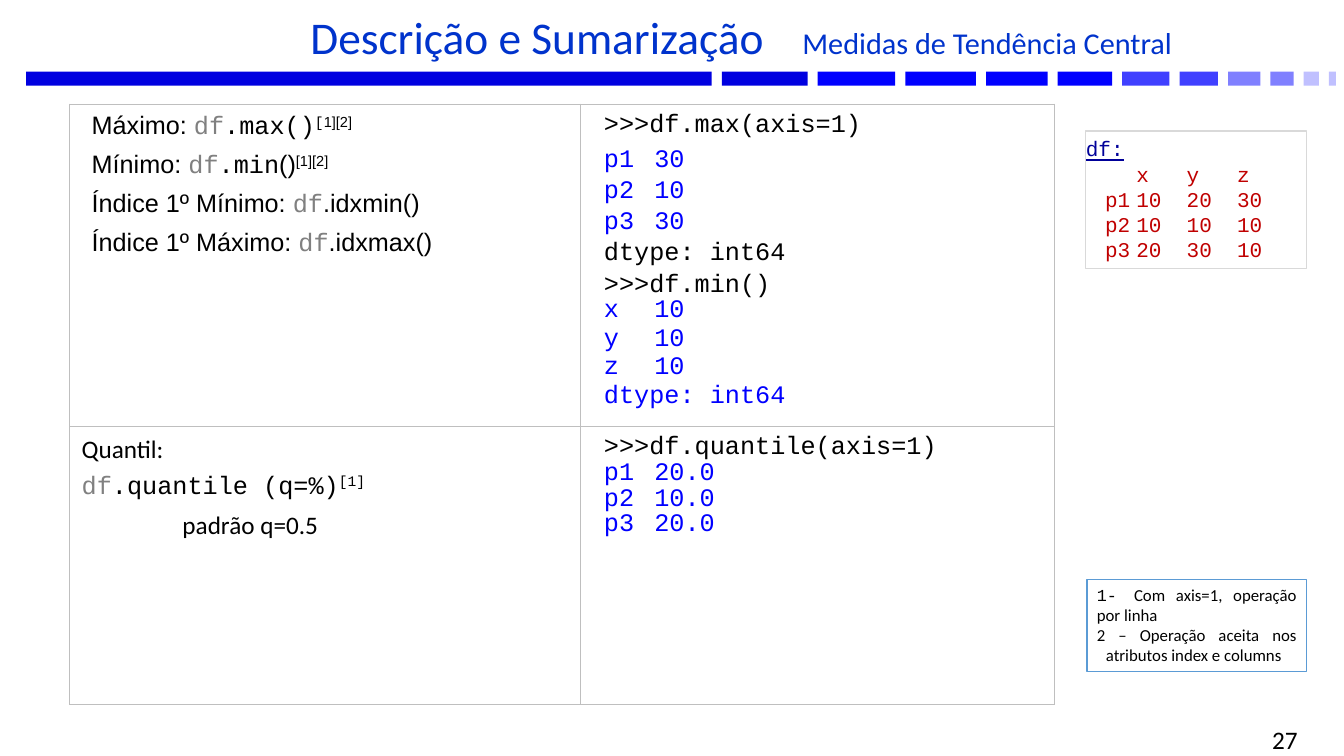
from dataclasses import dataclass, field

from lxml.etree import SubElement
from pptx import Presentation
from pptx.dml.color import RGBColor
from pptx.enum.shapes import MSO_SHAPE
from pptx.enum.text import MSO_ANCHOR, PP_ALIGN
from pptx.oxml.ns import qn
from pptx.util import Inches, Pt

# Grid of 133.3 columns by 75 rows, each cell a tenth of an inch
COLUMNS, ROWS, CELL = 133.3, 75, Inches(0.1)
BLACK, GRAY, BLUE, RED, WHITE = "000000", "808080", "0000FF", "C00000", "FFFFFF"
MONO, SANS, BODY = "Courier New", "Arial", "Calibri"


@dataclass
class Span:
    text: str
    font: str = MONO
    color: str = BLACK
    size: float = 18
    raised: bool = False
    underline: bool = False


@dataclass
class Para:
    spans: list[Span]
    format: dict = field(default_factory=dict)
    margin: float = 0
    first: float = 0
    tabs: tuple = ()


@dataclass
class Area:
    left: float
    top: float
    width: float
    height: float

    def lengths(self) -> list[int]:
        return [grid(n) for n in (self.left, self.top, self.width, self.height)]


@dataclass
class Bar:
    width: float
    color: str


def grid(cells: float) -> int:
    return round(cells * CELL)


def rgb(color: str) -> RGBColor:
    return RGBColor.from_string(color)


def apply(target, values: dict) -> None:
    for name, value in values.items():
        setattr(target, name, value)


def margins(left: float, top: float, right: float, bottom: float) -> dict:
    return {"margin_left": grid(left), "margin_top": grid(top),
            "margin_right": grid(right), "margin_bottom": grid(bottom)}


def write(frame, paras: list[Para]) -> None:
    for index, item in enumerate(paras):
        para = frame.paragraphs[0] if index == 0 else frame.add_paragraph()
        apply(para, {"alignment": PP_ALIGN.LEFT} | item.format)
        properties = para._p.get_or_add_pPr()
        properties.set("marL", str(grid(item.margin)))
        properties.set("indent", str(grid(item.first)))
        if item.tabs:
            stops = SubElement(properties, qn("a:tabLst"))
            for stop in item.tabs:
                SubElement(stops, qn("a:tab"), pos=str(grid(stop)), algn="l")
        for item_span in item.spans:
            span = para.add_run()
            span.text = item_span.text
            apply(span.font, {"name": item_span.font, "size": Pt(item_span.size),
                              "underline": item_span.underline})
            span.font.color.rgb = rgb(item_span.color)
            if item_span.raised:
                span._r.get_or_add_rPr().set("baseline", "30000")


def add_text(page, area: Area, paras: list[Para], anchor=MSO_ANCHOR.MIDDLE) -> None:
    box = page.shapes.add_textbox(*area.lengths())
    apply(box.text_frame, {"word_wrap": True, "vertical_anchor": anchor})
    write(box.text_frame, paras)


def add_rectangle(page, area: Area, fill: str = "", line: str = "", weight: float = 1):
    box = page.shapes.add_shape(MSO_SHAPE.RECTANGLE, *area.lengths())
    box.shadow.inherit = False
    if fill:
        box.fill.solid()
        box.fill.fore_color.rgb = rgb(fill)
    else:
        box.fill.background()
    if line:
        box.line.color.rgb = rgb(line)
        box.line.width = Pt(weight)
    else:
        box.line.fill.background()
    return box


def add_panel(page, area: Area, paras: list[Para], insets: dict, **outline) -> None:
    """Outlined rectangle with text from its top edge."""
    frame = add_rectangle(page, area, **outline).text_frame
    apply(frame, insets | {"word_wrap": True, "vertical_anchor": MSO_ANCHOR.TOP})
    write(frame, paras)


def add_border(cell, color: str, weight: float) -> None:
    properties = cell._tc.get_or_add_tcPr()
    for index, side in enumerate(("lnL", "lnR", "lnT", "lnB")):
        line = properties.makeelement(qn(f"a:{side}"), {"w": str(Pt(weight))})
        fill = SubElement(line, qn("a:solidFill"))
        SubElement(fill, qn("a:srgbClr"), val=color)
        properties.insert(index, line)


def add_grid_table(page, area: Area, widths: list, heights: list, cells: list) -> None:
    table = page.shapes.add_table(len(heights), len(widths), *area.lengths()).table
    apply(table, {"first_row": False, "horz_banding": False})
    for column, width in zip(table.columns, widths):
        column.width = grid(width)
    for row, height in zip(table.rows, heights):
        row.height = grid(height)
    for row_index, row in enumerate(cells):
        for column_index, paras in enumerate(row):
            cell = table.cell(row_index, column_index)
            apply(cell, margins((1.2, 2.4)[column_index], 0.8, 0, 0))
            cell.fill.background()
            add_border(cell, "BFBFBF", 0.25)
            write(cell.text_frame, paras)


SPACED = {"space_before": Pt(6)}
TIGHT = SPACED | {"line_spacing": 0.8}
CLOSE = {"line_spacing": 0.9}


def method(label: str, *spans: Span) -> Para:
    return Para([Span(label, SANS), Span("df", color=GRAY), *spans], SPACED, first=1)


def code(text: str, format: dict, color: str = BLACK, stop: float = 9) -> Para:
    return Para([Span(text, color=color)], format, tabs=(stop,))


METHODS = [
    method("Máximo: ", Span(".max()"), Span("[", raised=True), Span("1][2]", SANS, raised=True)),
    method("Mínimo: ", Span(".min"), Span("()", SANS), Span("[1][2]", SANS, raised=True)),
    method("Índice 1º Mínimo: ", Span(".idxmin()", SANS)),
    method("Índice 1º Máximo: ", Span(".idxmax()", SANS)),
]
EXTREMES = [
    code(">>>df.max(axis=1)", SPACED),
    *(code(f"p{n}\t{value}", TIGHT, BLUE) for n, value in enumerate((30, 10, 30), 1)),
    code("dtype: int64", TIGHT),
    code(">>>df.min()", TIGHT),
    *(code(f"{axis}\t10", {}, BLUE, 7.5) for axis in "xyz"),
    code("dtype: int64", {}, BLUE),
]
QUANTILE = [
    Para([Span("Quantil:", BODY)], SPACED),
    Para([Span("df", color=GRAY), Span(".quantile (q=%)"), Span("[1]", raised=True)], SPACED),
    Para([Span("padrão q=0.5", BODY)], SPACED, margin=10),
]
QUANTILE_OUTPUT = [
    code(">>>df.quantile(axis=1)", CLOSE | {"space_before": Pt(3)}),
    *(code(f"p{n}\t{value}", CLOSE, BLUE) for n, value in enumerate(("20.0", "10.0", "20.0"), 1)),
]
FRAME_ROWS = ("p1\t10\t20\t30", "p2\t10\t10\t10", "p3\t20\t30\t10")
FRAME = [
    Para([Span("df:", color="000099", size=15, underline=True)]),
    Para([Span("\tx\ty\tz", color=RED, size=15)], tabs=(7.9, 12.95, 18)),
    *(Para([Span(row, color=RED, size=15)], first=1.9, tabs=(6.9, 11.95, 17))
      for row in FRAME_ROWS),
]
JUSTIFIED = {"alignment": PP_ALIGN.JUSTIFY}
NOTES = [
    Para([Span("1- ", size=12), Span("Com axis=1, operação por linha", BODY, size=12)], JUSTIFIED),
    Para([Span("2 – Operação aceita nos atributos index e columns", BODY, size=12)],
         JUSTIFIED, margin=0.9, first=-0.9),
]
TITLE = [Para([Span("Descrição e Sumarização\t", BODY, "0033CC", 32.4),
               Span("Medidas de Tendência Central", BODY, "0033CC", 21.6)],
              TIGHT, first=11.2, tabs=(62.3,))]
BARS = [Bar(68, "0000E0"), Bar(8.5, "0000E0"), Bar(7.7, BLUE), Bar(7, BLUE), Bar(6.1, BLUE),
        Bar(5.4, BLUE), Bar(4.7, "4040FF"), Bar(3.8, "4040FF"), Bar(3.2, "8080FF"),
        Bar(2.3, "8080FF"), Bar(1.5, "C0C0FF"), Bar(0.7, "C0C0FF")]
BAR_GAP = 1


def main() -> None:
    deck = Presentation()
    apply(deck, {"slide_width": grid(COLUMNS), "slide_height": grid(ROWS)})
    page = deck.slides.add_slide(deck.slide_layouts[6])
    left = 2.6
    for bar in BARS:
        add_rectangle(page, Area(left, 7.1, bar.width, 1.4), fill=bar.color)
        left += bar.width + BAR_GAP
    add_text(page, Area(18.6, 1.4, 112.1, 5.4), TITLE)
    add_text(page, Area(98.6, 72.3, 31.1, 2.2),
             [Para([Span("27", BODY)], {"alignment": PP_ALIGN.RIGHT})])
    add_grid_table(page, Area(6.9, 10.3, 97.7, 58.4), [50.6, 47.1], [30.8, 27.6],
                   [[METHODS, EXTREMES], [QUANTILE, QUANTILE_OUTPUT]])
    add_panel(page, Area(107.7, 13, 21.9, 13.6), FRAME, margins(0, 0.5, 0, 0.5),
              line="D9D9D9", weight=0.75)
    add_panel(page, Area(107.8, 57.5, 21.8, 9.1), NOTES, margins(1, 0.5, 1, 0.5),
              fill=WHITE, line="5B9BD5")
    deck.save("out.pptx")


if __name__ == "__main__":
    main()
